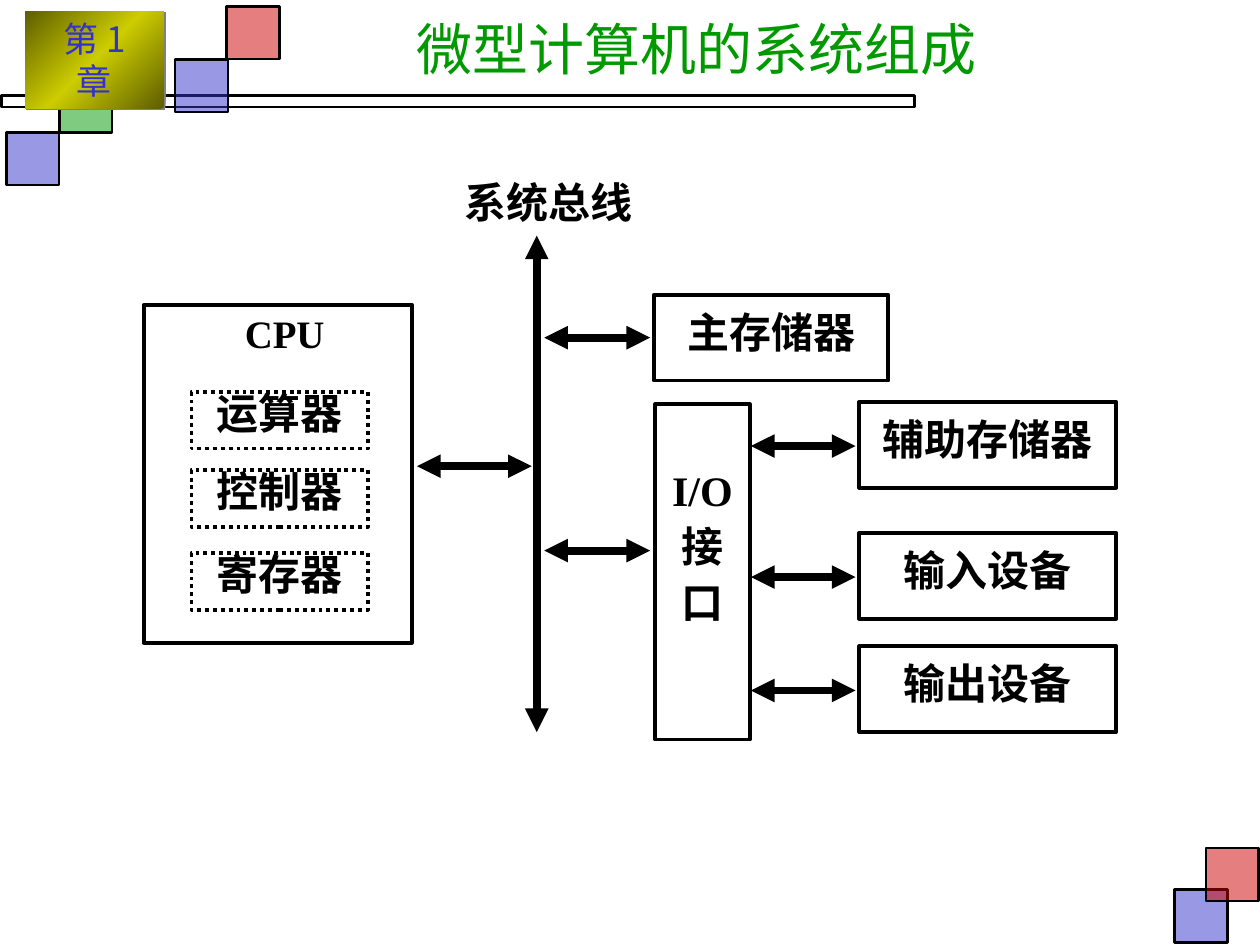
from lxml import etree
from pptx import Presentation
from pptx.dml.color import RGBColor
from pptx.enum.dml import MSO_LINE
from pptx.enum.shapes import MSO_CONNECTOR, MSO_SHAPE
from pptx.enum.text import MSO_ANCHOR, MSO_AUTO_SIZE, PP_ALIGN
from pptx.oxml import parse_xml
from pptx.oxml.ns import qn
from pptx.util import Inches, Pt

RECTANGLE = MSO_SHAPE.RECTANGLE
STRAIGHT = MSO_CONNECTOR.STRAIGHT
DOTTED = MSO_LINE.ROUND_DOT
CENTER = PP_ALIGN.CENTER
TOP, MIDDLE = MSO_ANCHOR.TOP, MSO_ANCHOR.MIDDLE
NO_FIT = MSO_AUTO_SIZE.NONE

BLACK, BLUE, RED, GREEN = "000000", "3333CC", "CC0000", "009900"
DRAWING_NS = "http://schemas.openxmlformats.org/drawingml/2006/main"
LABEL = {"name": "Times New Roman", "size": Pt(24), "bold": True}
SQUARE = 0.42


def color(hex_code):
    return RGBColor.from_string(hex_code)


def apply(target, values):
    for name, value in values.items():
        setattr(target, name, value)


def write(shape, lines, font, font_color=BLACK, inset=(0.01, 0.01, 0.01, 0.01),
          anchor=TOP, spacing=None):
    frame = shape.text_frame
    sides = ("margin_left", "margin_top", "margin_right", "margin_bottom")
    apply(frame, {"word_wrap": True, "auto_size": NO_FIT, "vertical_anchor": anchor})
    apply(frame, dict(zip(sides, map(Inches, inset))))
    for index, line in enumerate(lines):
        para = frame.add_paragraph() if index else frame.paragraphs[0]
        apply(para, {"alignment": CENTER, **(spacing or {})})
        span = para.add_run()
        span.text = line
        apply(span.font, font)
        span.font.color.rgb = color(font_color)


def add_box(page, box, line_width=2.25, dash=None):
    shape = page.shapes.add_shape(RECTANGLE, *map(Inches, box))
    shape.shadow.inherit = False
    shape.fill.background()
    shape.line.color.rgb = color(BLACK)
    shape.line.width = Pt(line_width)
    if dash:
        shape.line.dash_style = dash
    return shape


def add_square(page, left, top, fill):
    shape = add_box(page, (left, top, SQUARE, SQUARE), 1.5)
    shape.fill.solid()
    shape.fill.fore_color.rgb = color(fill)
    tint = shape.fill._xPr.find(".//" + qn("a:srgbClr"))
    etree.SubElement(tint, qn("a:alpha"), val="50000")


def add_arrow(page, start, end):
    arrow = page.shapes.add_connector(STRAIGHT, *map(Inches, (*start, *end)))
    arrow.line.color.rgb = color(BLACK)
    arrow.line.width = Pt(4.5)
    outline = arrow.line._get_or_add_ln()
    for tip in ("a:headEnd", "a:tailEnd"):
        etree.SubElement(outline, qn(tip), type="triangle")
    etree.SubElement(arrow._element.spPr, qn("a:effectLst"))


def add_label(page, box, text, font=LABEL, spacing=None):
    write(page.shapes.add_textbox(*map(Inches, box)), [text], font, spacing=spacing)


def add_device(page, box, text):
    write(add_box(page, box), [text], LABEL,
          spacing={"line_spacing": 1.2, "space_before": Pt(3)})


def add_decoration(page):
    add_box(page, (0.01, 0.76, 7.25, 0.09), 1.5)
    for left, top, fill in ((9.32, 7.06, BLUE), (9.57, 6.73, RED), (1.39, 0.47, BLUE),
                            (0.05, 1.05, BLUE), (0.47, 0.63, GREEN), (1.8, 0.05, RED)):
        add_square(page, left, top, fill)


def add_chapter_tag(page, box):
    tag = add_box(page, box)
    tag.line.fill.background()
    properties = tag._element.spPr
    properties.remove(properties.find(qn("a:noFill")))
    stops = "".join(
        f'<a:gs pos="{place}"><a:srgbClr val="{shade}"/></a:gs>'
        for place, shade in ((0, "5E5E00"), (50000, "CCCC00"), (100000, "5E5E00")))
    gradient = parse_xml(f'<a:gradFill xmlns:a="{DRAWING_NS}"><a:gsLst>{stops}</a:gsLst>'
                         '<a:lin ang="2700000" scaled="1"/></a:gradFill>')
    properties.find(qn("a:prstGeom")).addnext(gradient)
    shadow = etree.SubElement(properties.find(qn("a:effectLst")), qn("a:outerShdw"),
                              dist=str(Pt(1.4)), dir="2700000")
    etree.SubElement(shadow, qn("a:srgbClr"), val="808080")
    write(tag, ["第 1 章"], {"name": "Noto Sans CJK JP", "size": Pt(20)}, BLUE,
          (0.2, 0.05, 0.2, 0.05))


def add_title(page, box):
    title = page.shapes.title
    apply(title, dict(zip(("left", "top", "width", "height"), map(Inches, box))))
    write(title, ["微型计算机的系统组成"], {"name": "Karla", "size": Pt(32)}, GREEN,
          (0.1, 0.05, 0.1, 0.05), MIDDLE)


def add_cpu(page, box):
    left, top, width, height = box
    add_box(page, box)
    add_label(page, (left + 0.57, top + 0.07, 1.1, 0.41), "CPU",
              {**LABEL, "size": Pt(22.2)}, {"line_spacing": 0.9, "space_before": Pt(3)})
    for offset, text in ((0.69, "运算器"), (1.31, "控制器"), (1.97, "寄存器")):
        unit = add_box(page, (left + 0.38, top + offset, 1.4, 0.45), dash=DOTTED)
        write(unit, [text], LABEL, spacing={"line_spacing": 0.9})


def add_bus(page, x, top, bottom):
    add_label(page, (x - 1.02, top - 0.48, 2.22, 0.44), "系统总线")
    add_arrow(page, (x, top), (x, bottom))
    add_arrow(page, (x - 0.95, 3.7), (x - 0.04, 3.7))
    for y in (2.68, 4.37):
        add_arrow(page, (x + 0.06, y), (x + 0.9, y))


def add_io(page, box):
    left, top, width, height = box
    write(add_box(page, box), ["I/O", "接", "口"], LABEL,
          inset=(0.01, 0.48, 0.01, 0.01), spacing={"space_before": Pt(3)})
    right = left + width
    for device_top, text in ((3.19, "辅助存储器"), (4.23, "输入设备"), (5.13, "输出设备")):
        add_device(page, (right + 0.87, device_top, 2.04, 0.68), text)
        y = device_top + 0.35
        add_arrow(page, (right + 0.84, y), (right + 0.01, y))


def main():
    deck = Presentation()
    deck.slide_width, deck.slide_height = Inches(10), Inches(7.5)
    page = deck.slides.add_slide(deck.slide_layouts[5])
    add_decoration(page)
    add_chapter_tag(page, (0.2, 0.09, 1.1, 0.77))
    add_title(page, (2.24, 0.08, 6.58, 0.6))
    add_cpu(page, (1.14, 2.42, 2.13, 2.68))
    add_bus(page, 4.26, 1.87, 5.81)
    add_device(page, (5.19, 2.34, 1.86, 0.68), "主存储器")
    add_io(page, (5.2, 3.21, 0.75, 2.66))
    deck.save("out.pptx")


if __name__ == "__main__":
    main()
